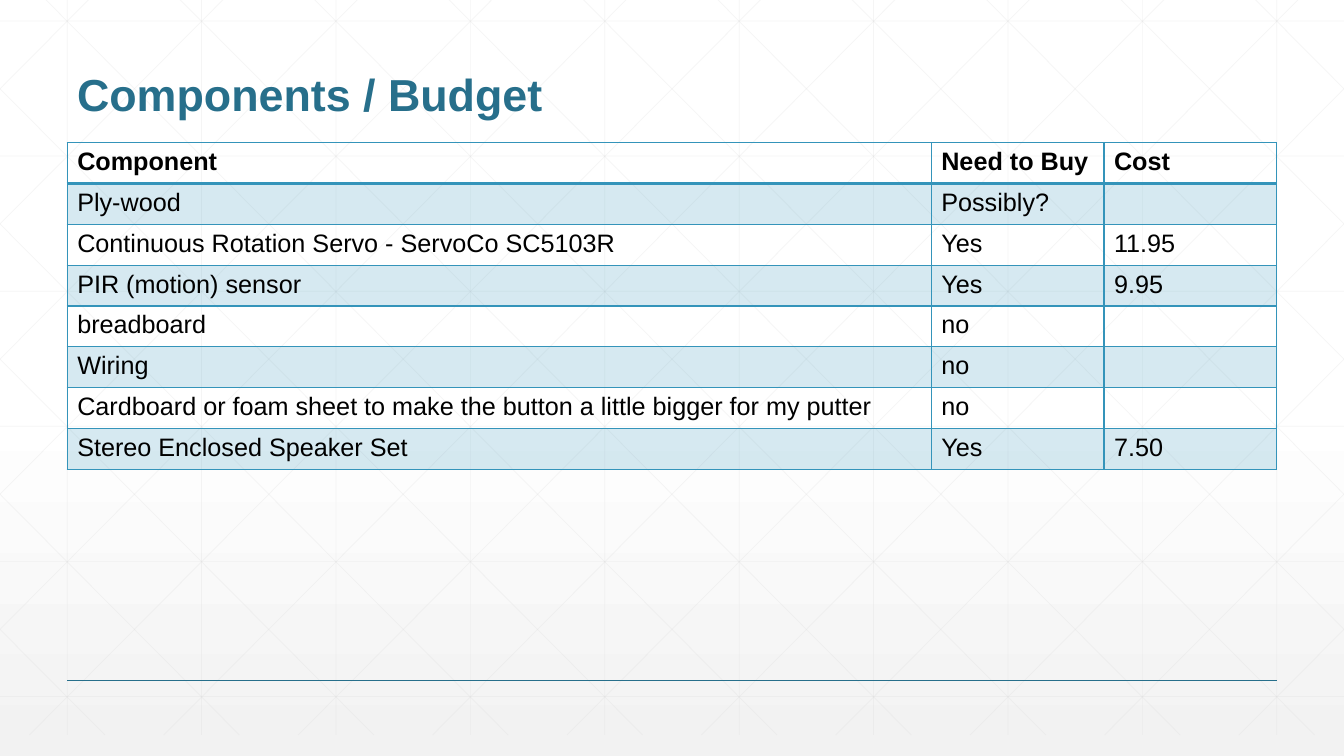
from copy import deepcopy
from dataclasses import dataclass

from lxml.etree import SubElement
from pptx import Presentation
from pptx.dml.color import RGBColor
from pptx.enum.shapes import MSO_CONNECTOR
from pptx.enum.text import MSO_ANCHOR
from pptx.oxml.ns import qn
from pptx.util import Pt


@dataclass(frozen=True)
class Theme:
    font: str = "Arial"
    title_size: int = 32
    table_size: int = 18
    title: str = "276F8B"
    accent: str = "3494BA"
    text: str = "000000"
    grid: str = "D9D9D9"
    white: str = "FFFFFF"
    shade: str = "F2F2F2"


THEME = Theme()
WIDTH, HEIGHT = 960, 540
MARGIN = 48
CONTENT_WIDTH = WIDTH - 2 * MARGIN
GRID_STEP = 96
GRID_TOP, GRID_BOTTOM = -15, 525
DIAGONAL_RUN = 537
ROW_HEIGHT = 29.16
COLUMN_WIDTHS = (617.2, 123.4, 123.4)
ROWS = (
    ("Component", "Need to Buy", "Cost"),
    ("Ply-wood", "Possibly?", ""),
    ("Continuous Rotation Servo - ServoCo SC5103R", "Yes", "11.95"),
    ("PIR (motion) sensor", "Yes", "9.95"),
    ("breadboard", "no", ""),
    ("Wiring", "no", ""),
    ("Cardboard or foam sheet to make the button a little bigger for my putter", "no", ""),
    ("Stereo Enclosed Speaker Set", "Yes", "7.50"),
)


def set_opacity(parent, percent):
    color = parent.find(".//" + qn("a:srgbClr"))
    SubElement(color, qn("a:alpha"), val=str(percent * 1000))


def set_background(slide):
    """Fade from white to light grey over the lower half."""
    fill = slide.background.fill
    fill.gradient()
    fill.gradient_angle = 270
    stops = slide.element.find(".//" + qn("a:gsLst"))
    stops.insert(1, deepcopy(stops[0]))
    looks = ((0, THEME.white), (0.53, THEME.white), (1, THEME.shade))
    for stop, (position, color) in zip(fill.gradient_stops, looks):
        stop.position = position
        stop.color.rgb = RGBColor.from_string(color)
    set_opacity(stops[2], 65)


def add_line(shapes, start, end, color, width, opacity=100):
    points = [Pt(value) for value in (*start, *end)]
    connector = shapes.add_connector(MSO_CONNECTOR.STRAIGHT, *points)
    connector.line.color.rgb = RGBColor.from_string(color)
    connector.line.width = Pt(width)
    properties = connector.element.spPr
    if opacity < 100:
        set_opacity(properties, opacity)
    SubElement(properties, qn("a:effectLst"))


def diagonal(top_x):
    """Ends of a falling diagonal, cut at the slide's side edges."""
    ends = []
    for x in (top_x, top_x + DIAGONAL_RUN):
        edge_x = min(max(x, 0), WIDTH)
        rise = (edge_x - top_x) * (GRID_BOTTOM - GRID_TOP) / DIAGONAL_RUN
        ends.append((edge_x, GRID_TOP + rise))
    return ends


def add_grid(slide):
    lines = []
    for column in range(10):
        x = MARGIN + column * GRID_STEP
        lines.append(((x, GRID_TOP), (x, GRID_BOTTOM)))
    for row in range(6):
        y = 15 + row * 96.5
        lines.append(((0, y), (WIDTH, y)))
    for index in range(-5, 10):
        falling = diagonal(18 + index * GRID_STEP)
        lines.append(falling)
        lines.append([(WIDTH - x, y) for x, y in falling])
    group = slide.shapes.add_group_shape()
    for start, end in lines:
        add_line(group.shapes, start, end, THEME.grid, 0.5, opacity=25)


def add_run(paragraph, text, size, color, bold):
    run = paragraph.add_run()
    run.text = text
    run.font.name = THEME.font
    run.font.size = Pt(size)
    run.font.bold = bold
    run.font.color.rgb = RGBColor.from_string(color)


def add_title(slide, text):
    shape = slide.shapes.add_textbox(Pt(MARGIN), Pt(18), Pt(CONTENT_WIDTH), Pt(72))
    frame = shape.text_frame
    frame.word_wrap = True
    frame.vertical_anchor = MSO_ANCHOR.BOTTOM
    paragraph = frame.paragraphs[0]
    paragraph.line_spacing = 0.9
    add_run(paragraph, text, THEME.title_size, THEME.title, True)


def set_borders(cell, top, bottom):
    properties = cell._tc.get_or_add_tcPr()
    for side, width in (("L", 1), ("R", 1), ("T", top), ("B", bottom)):
        line = SubElement(properties, qn("a:ln" + side), w=str(Pt(width)))
        fill = SubElement(line, qn("a:solidFill"))
        SubElement(fill, qn("a:srgbClr"), val=THEME.accent)


def fill_cell(cell, banded):
    if not banded:
        cell.fill.background()
        return
    cell.fill.solid()
    cell.fill.fore_color.rgb = RGBColor.from_string(THEME.accent)
    set_opacity(cell._tc.tcPr.find(qn("a:solidFill")), 20)


def add_budget_table(slide):
    frame = slide.shapes.add_table(
        len(ROWS), len(COLUMN_WIDTHS), Pt(MARGIN), Pt(102),
        Pt(CONTENT_WIDTH), Pt(ROW_HEIGHT * len(ROWS)))
    table = frame.table
    table.horz_banding = False
    for column, width in zip(table.columns, COLUMN_WIDTHS):
        column.width = Pt(width)
    for row_index, texts in enumerate(ROWS):
        table.rows[row_index].height = Pt(ROW_HEIGHT)
        header = row_index == 0
        for column_index, text in enumerate(texts):
            cell = table.cell(row_index, column_index)
            set_borders(cell, 2 if row_index == 1 else 1, 2 if header else 1)
            fill_cell(cell, banded=row_index % 2 == 1)
            paragraph = cell.text_frame.paragraphs[0]
            if text:
                add_run(paragraph, text, THEME.table_size, THEME.text, header)


def main():
    presentation = Presentation()
    presentation.slide_width = Pt(WIDTH)
    presentation.slide_height = Pt(HEIGHT)
    slide = presentation.slides.add_slide(presentation.slide_layouts[6])
    set_background(slide)
    add_grid(slide)
    add_line(slide.shapes, (MARGIN, 486), (WIDTH - MARGIN, 486), THEME.title, 1)
    add_title(slide, "Components / Budget")
    add_budget_table(slide)
    presentation.save("out.pptx")


if __name__ == "__main__":
    main()
